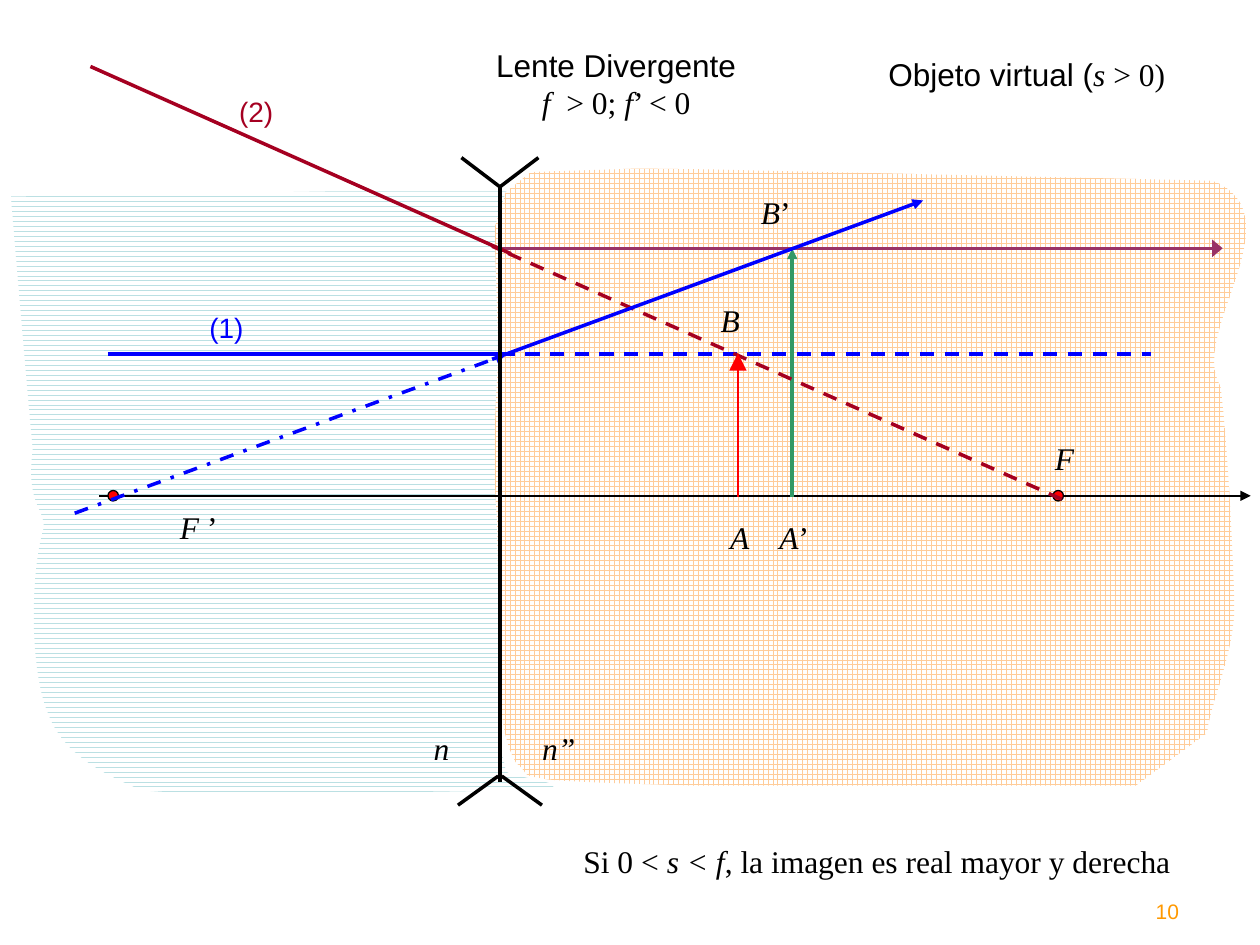
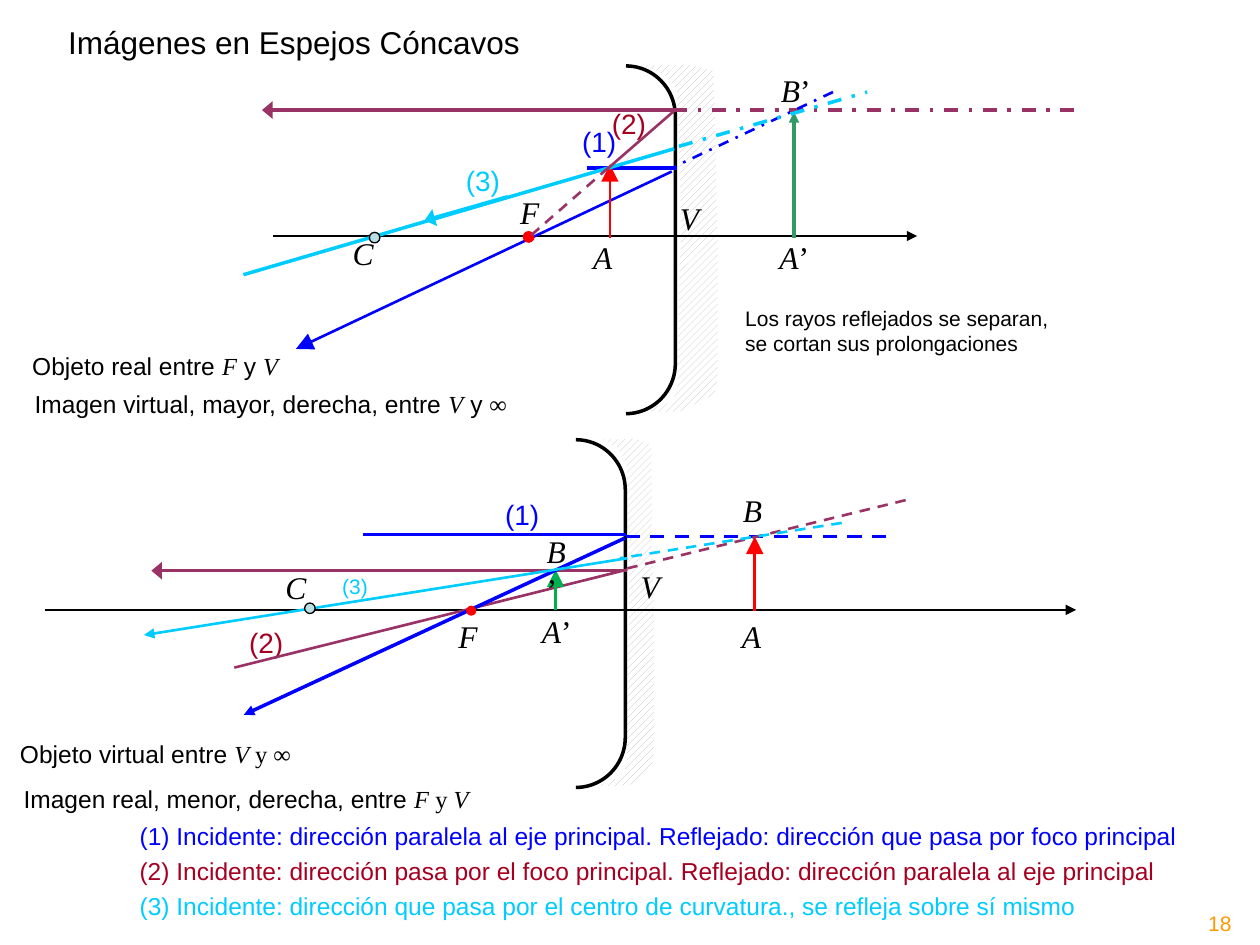
from dataclasses import dataclass

from lxml.etree import SubElement
from pptx import Presentation
from pptx.dml.color import RGBColor
from pptx.enum.dml import MSO_LINE as Dash, MSO_PATTERN as Pattern
from pptx.enum.shapes import MSO_CONNECTOR as Link, MSO_SHAPE as Preset
from pptx.enum.text import MSO_AUTO_SIZE as Fit, PP_ALIGN as Align
from pptx.oxml.ns import qn
from pptx.util import Pt


@dataclass(frozen=True)
class Theme:
    """Colours, fonts and type sizes of the optics slides."""
    ink: str = "000000"
    paper: str = "FFFFFF"
    blue: str = "0000FF"
    crimson: str = "A50021"
    purple: str = "993366"
    cyan: str = "00CCFF"
    red: str = "FF0000"
    image: str = "339966"
    small_image: str = "00B050"
    pale: str = "BBE0E3"
    peach: str = "FFCC99"
    grey: str = "C0C0C0"
    number: str = "FF9900"
    sans: str = "Arial"
    serif: str = "Times New Roman"
    title: int = 18
    ray_tag: int = 16
    body: int = 14
    note: int = 12


@dataclass(frozen=True)
class Box:
    """A region of a slide whose lengths count from its origin in points."""
    slide: object
    left: float = 0
    top: float = 0

    def at(self, x, y):
        """Return the slide position of a point of the region."""
        return Pt(self.left + x), Pt(self.top + y)


THEME = Theme()
SANS, SERIF, ITALIC = (THEME.sans, False), (THEME.serif, False), (THEME.serif, True)
PLAIN, WIDE, LARGE = ("med", "med"), ("lg", "med"), ("lg", "lg")

INCIDENT_MEDIUM = [
    (-279.5, -171), (-92, -174), (21.4, -174), (8.5, -168), (0.5, -151), (-1.6, -28),
    (-1.6, 0), (-1, 24.5), (0.5, 144), (3.5, 157.6), (7, 161, 49, 165.5, 21.5, 167.7),
    (37, 168.5, -123, 170, -160.7, 171.3), (-204.6, 168.4),
    (-221, 161, -248.6, 150.4, -258, 125), (-268.7, 100.8, -268.7, 45.3, -260.8, 18.7),
    (-260, 6.4, -271, 5.7, -267, -26.7), (-270, -57.6, -279.5, -171, -279.5, -171)]
REFRACTED_MEDIUM = [
    (404.5, 135.3), (403, 128, 419, 91.4, 419.6, 66.2),
    (419.6, 41, 415.3, -37.5, 411.7, -62.7), (393, -93, 456.3, -160, 407.4, -180),
    (118.6, -186.5), (79, -187), (17.8, -185), (3.4, -173.6), (-3, -153.4), (-1, -82),
    (-3, -37.5), (-3, -8.7), (-1.6, 15.8), (-1, 60.4), (0.5, 120.2),
    (2, 135.3, 5, 145.4, 9.2, 152.6), (18.6, 160.5, 10, 159, 26.5, 162),
    (43, 164, 89.8, 164.8, 108.6, 165.6), (141, 165.6), (363.4, 165.6)]
MIRROR_BACK = [
    (21.8, -94.3), (8, -97.9), (-20, -97.2), (-7, -92.8), (0.9, -83.5), (3, -12.9),
    (3, 3.6), (2.3, 18), (0.9, 87.2), (-2, 94.4), (-5.6, 96.5, -21.5, 99.4, -20, 100),
    (-35.8, 100.8, -2, 100.8, 3.7, 100), (15.3, 93.6), (18, 90.8, 22.5, 95.8, 24, 81.4),
    (24, 4.4)]


def rgb(colour):
    """Turn a theme colour into a colour value."""
    return RGBColor.from_string(colour)


def bend(area, outline):
    """Join the three steps of every curved part into one cubic curve."""
    steps = iter(list(area.element.iter(qn("a:lnTo"))))
    for part in outline[1:]:
        first, *others = [next(steps) for _ in range(len(part) // 2)]
        if others:
            first.tag = qn("a:cubicBezTo")
        for step in others:
            first.append(step[0])
            step.getparent().remove(step)


def hatch(box, outline, pattern, colour, stretch=1):
    """Draw a hatched area without an edge."""
    start, *rest = [box.at(x * stretch, y) for part in outline
                    for x, y in zip(part[::2], part[1::2])]
    builder = box.slide.shapes.build_freeform(*start)
    builder.add_line_segments(rest, close=True)
    area = builder.convert_to_shape()
    bend(area, outline)
    area.shadow.inherit = False
    area.fill.patterned()
    area.fill.pattern = pattern
    area.fill.fore_color.rgb = rgb(colour)
    area.fill.back_color.rgb = rgb(THEME.paper)
    area.line.fill.background()


def ray(box, colour, start, end, width=2, dash=None, arrow=None):
    """Draw a straight line, with an arrowhead at its end if asked."""
    line = box.slide.shapes.add_connector(Link.STRAIGHT, *box.at(*start), *box.at(*end))
    line.line.color.rgb = rgb(colour)
    line.line.width = Pt(width)
    if dash:
        line.line.dash_style = dash
    properties = line.element.spPr
    if arrow:
        breadth, length = arrow
        SubElement(properties.find(qn("a:ln")), qn("a:tailEnd"),
                   type="triangle", w=breadth, len=length)
    SubElement(properties, qn("a:effectLst"))


def dot(box, x, y, fill, edge=THEME.ink, size=6):
    """Mark a point of the axis."""
    mark = box.slide.shapes.add_shape(
        Preset.OVAL, *box.at(x - size / 2, y - size / 2), Pt(size), Pt(size))
    mark.shadow.inherit = False
    mark.fill.solid()
    mark.fill.fore_color.rgb = rgb(fill)
    mark.line.color.rgb = rgb(edge)
    mark.line.width = Pt(0.75)


def write(box, x, y, width, *lines, size=THEME.title, colour=THEME.ink, wrap=False,
          align=Align.LEFT):
    """Write lines of text, each a list of words with their face."""
    height = len(lines) * size * 1.2 + 7.2
    frame = box.slide.shapes.add_textbox(*box.at(x, y), Pt(width), Pt(height)).text_frame
    frame.word_wrap = wrap
    frame.auto_size = Fit.SHAPE_TO_FIT_TEXT
    for index, line in enumerate(lines):
        paragraph = frame.add_paragraph() if index else frame.paragraphs[0]
        paragraph.alignment = align
        for words, (face, italic) in line:
            run = paragraph.add_run()
            run.text = words
            run.font.name = face
            run.font.italic = italic
            run.font.size = Pt(size)
            run.font.color.rgb = rgb(colour)


def point(box, letter, x, y, width=27, prime="", wrap=False):
    """Name a point with an italic letter and an upright prime."""
    line = [(letter, ITALIC)] + ([(prime, SERIF)] if prime else [])
    write(box, x, y, width, line, wrap=wrap)


def ray_tag(box, number, colour, x, y, size=THEME.ray_tag):
    """Number a ray."""
    write(box, x, y, 1.25 * size + 14.6, [(f"({number})", SANS)], size=size,
          colour=colour)


def page_number(box, number):
    """Write the slide number."""
    write(box, 0, 0, 28, [(number, SANS)], size=THEME.note, colour=THEME.number)


def diverging_lens(box):
    """Draw the lens, its two media and the rays around the optical centre."""
    hatch(box, INCIDENT_MEDIUM, Pattern.WAVE, THEME.pale)
    hatch(box, REFRACTED_MEDIUM, Pattern.LARGE_GRID, THEME.peach)
    ray(box, THEME.ink, (-229, 0), (429, 0), 1.25, arrow=PLAIN)
    for focus in (-221, 319):
        dot(box, focus, 0, THEME.red)
    ray(box, THEME.blue, (-224, -81), (2.7, -81))
    ray(box, THEME.purple, (-1, -141.4), (413, -141.4), arrow=WIDE)
    ray(box, THEME.image, (167, 0.7), (167, -141.2), arrow=PLAIN)
    point(box, "F ", -190, 3.6, 40, "’")
    point(box, "F", 310, -36)
    point(box, "n", -45, 129.6, 24)
    point(box, "n”", 17, 129.6, 34)
    point(box, "A", 124.4, 9.3, 25)
    point(box, "A", 152.5, 9.3, 32, "’")
    point(box, "B", 119, -114.7, 29.5)
    point(box, "B", 142, -176.6, 32, "’")
    ray_tag(box, 1, THEME.blue, -173.2, -109.5)
    ray_tag(box, 2, THEME.crimson, -156.2, -232.9)
    ray(box, THEME.blue, (0.5, -81), (372, -81), dash=Dash.DASH)
    ray(box, THEME.blue, (-243, 10), (3.4, -80.7), dash=Dash.DASH_DOT, arrow=PLAIN)
    ray(box, THEME.crimson, (321, 2), (-4.5, -142.6), dash=Dash.DASH)
    ray(box, THEME.blue, (-4.5, -78), (241.8, -168.7), arrow=PLAIN)
    ray(box, THEME.crimson, (6.3, -138.3), (-234, -245.3))
    ray(box, THEME.red, (136, 0.7), (136, -81.4), 1.5, arrow=LARGE)
    ray(box, THEME.ink, (0, 163.4), (0, -176.4))
    for side in (-1, 1):
        ray(box, THEME.ink, (0, -176.5), (22 * side, -193.2))
        ray(box, THEME.ink, (side, 160.2), (24 * side, 176.8))


def mirror(box, axis_start, axis_end, back_width):
    """Draw a concave mirror with its hatched back and its axis."""
    hatch(box, MIRROR_BACK, Pattern.WIDE_UPWARD_DIAGONAL, THEME.grey, back_width)
    ray(box, THEME.ink, (axis_start, 0), (axis_end, 0), 1.25, arrow=PLAIN)
    face = box.slide.shapes.add_shape(
        Preset.RIGHT_BRACKET, *box.at(-28.4, -97.2), Pt(28.2), Pt(198.7))
    face.adjustments[0] = 1.016
    face.shadow.inherit = False
    face.fill.background()
    face.line.color.rgb = rgb(THEME.ink)
    face.line.width = Pt(2)


def real_object_mirror(box):
    """Draw the mirror whose object stands between focus and vertex."""
    mirror(box, -230, 138, 1)
    ray(box, THEME.blue, (-2.2, -36.9), (-217, 64.5), 1.5, arrow=LARGE)
    ray(box, THEME.blue, (-50.5, -39), (0.5, -39))
    ray(box, THEME.purple, (-1.6, -72), (-236.4, -72), arrow=WIDE)
    ray(box, THEME.red, (-37.6, 1.2), (-37.6, -41), 1.5, arrow=LARGE)
    ray(box, THEME.cyan, (-247, 22.1), (-0.8, -49.9))
    ray(box, THEME.cyan, (-96, -22.5), (-143.5, -8.9), arrow=WIDE)
    ray_tag(box, 1, THEME.blue, -60.6, -67.2)
    ray_tag(box, 2, THEME.crimson, -43.5, -77.3)
    ray_tag(box, 3, THEME.cyan, -127, -44.9)
    point(box, "C", -191.7, -4.6)
    dot(box, -172, 0.9, THEME.pale)
    ray(box, THEME.image, (67.6, 1.2), (67.6, -70.8), arrow=PLAIN)
    point(box, "A", 52.2, -2.3, 32, "’")
    point(box, "B", 53, -97.8, 32, "’")
    point(box, "F", -96, -28.3)
    dot(box, -84, 0.5, THEME.red, THEME.red)
    point(box, "V", -4.7, -24.7)
    ray(box, THEME.purple, (-1.6, -72), (232, -72), dash=Dash.DASH_DOT)
    ray(box, THEME.blue, (89.9, -82.3), (-0.2, -39.9), 1.5, Dash.DASH_DOT)
    ray(box, THEME.cyan, (1.9, -51.3), (109.4, -82.3), dash=Dash.DASH_DOT)
    ray(box, THEME.purple, (-38.4, -39.1), (-83.7, 0.5), 1.5, Dash.DASH)
    ray(box, THEME.purple, (-0.9, -71.5), (-39.1, -38.3), 1.5)
    point(box, "A", -54.2, -2.3)


def virtual_object_mirror(box):
    """Draw the mirror whose object lies behind the vertex."""
    mirror(box, -332, 257.4, 0.67)
    ray(box, THEME.blue, (-150, -43), (0, -43))
    ray(box, THEME.purple, (1, -22.4), (-271, -22.4), arrow=WIDE)
    point(box, "B", 60, -71.3, 16, wrap=True)
    ray_tag(box, 1, THEME.blue, -76, -67.7)
    ray_tag(box, 2, THEME.crimson, -222.3, 5.2)
    ray(box, THEME.purple, (1, -23), (-223.6, 33), 1.5)
    point(box, "A", -55, -2.2, 32, "’")
    point(box, "F", -102.6, 0.7)
    point(box, "V", 1.5, -28)
    ray(box, THEME.small_image, (-40, 0), (-40, -23), arrow=LARGE)
    ray(box, THEME.blue, (-0.4, -41), (-218.2, 60), arrow=PLAIN)
    dot(box, -88.2, 0.5, THEME.red, THEME.red, 5)
    ray(box, THEME.red, (73.8, 0.7), (73.8, -41.8), 1.5, arrow=LARGE)
    ray_tag(box, 3, THEME.cyan, -169, -24.5, THEME.note)
    point(box, "B", -52.2, -48, 28.8, "’")
    ray(box, THEME.cyan, (1, -29.5), (-275.2, 14.4), 1.5, arrow=PLAIN)
    point(box, "C", -201.5, -27.4, 31)
    dot(box, -180.4, -0.9, THEME.pale)
    ray(box, THEME.blue, (0, -41.8), (150, -41.8), dash=Dash.DASH)
    ray(box, THEME.purple, (160, -62.7), (-1.8, -23), 1.5, Dash.DASH)
    ray(box, THEME.cyan, (123.5, -49.7), (-3.3, -29.5), 1.5, Dash.DASH)
    point(box, "A", 59.4, 0.7)


def ray_rules(box):
    """List the rule that each numbered ray follows."""
    rules = [
        ("(1) Incidente: dirección paralela al eje principal. "
         "Reflejado: dirección que pasa por foco principal", THEME.blue, 610),
        ("(2) Incidente: dirección pasa por el foco principal. "
         "Reflejado: dirección paralela al eje principal", THEME.crimson, 598),
        ("(3) Incidente: dirección que pasa por el centro de curvatura., "
         "se refleja sobre sí mismo", THEME.cyan, 552)]
    for row, (rule, colour, width) in enumerate(rules):
        write(box, 0, row * 20, width, [(rule, SANS)], size=THEME.body, colour=colour)


def lens_slide(slide):
    """Build the slide on the diverging lens."""
    page = Box(slide)
    diverging_lens(Box(slide, 285.7, 283.3))
    write(page, 500.6, 28, 174,
          [("Objeto virtual (", SANS), ("s ", ITALIC), ("> 0)", SERIF)])
    write(page, 275.6, 22.6, 153, [("Lente Divergente", SANS)],
          [("f", ITALIC), ("  > 0; ", SERIF), ("f", ITALIC), ("’ < 0", SERIF)],
          align=Align.CENTER)
    write(page, 326.3, 477.7, 382, [("Si 0 < ", SERIF), ("s < f", ITALIC),
          (", la imagen es real mayor y derecha", SERIF)], wrap=True)
    page_number(Box(slide, 653.3, 510), "10")


def mirror_slide(slide):
    """Build the slide on concave mirrors."""
    page = Box(slide)
    real_object_mirror(Box(slide, 386.1, 134.9))
    virtual_object_mirror(Box(slide, 357.5, 348.5))
    write(page, 31.8, 9.4, 275, [("Imágenes en Espejos Cóncavos", SANS)])
    captions = [
        (11.3, 197, 157, [("Objeto real entre ", SANS), ("F", ITALIC), (" y ", SANS),
                          ("V", ITALIC)]),
        (12.7, 219, 286, [("Imagen virtual, mayor, derecha, entre ", SANS), ("V", ITALIC),
                          (" y ", SANS), ("∞", SERIF)]),
        (4.3, 418.7, 170, [("Objeto virtual entre ", SANS), ("V ", ITALIC),
                           ("y ∞", SERIF)]),
        (6.4, 444.2, 270, [("Imagen real, menor, derecha, entre ", SANS), ("F ", ITALIC),
                           ("y", SERIF), (" V", ITALIC)])]
    for x, y, width, caption in captions:
        write(page, x, y, width, caption, size=THEME.body)
    write(page, 418.8, 171, 189, [("Los rayos reflejados se separan,", SANS)],
          [("se cortan sus prolongaciones", SANS)], size=THEME.note)
    ray_rules(Box(slide, 72.7, 465.7))
    page_number(Box(slide, 683.3, 517), "18")


def main():
    """Build and save the presentation."""
    deck = Presentation()
    deck.slide_width, deck.slide_height = Pt(720), Pt(540)
    for build in (lens_slide, mirror_slide):
        build(deck.slides.add_slide(deck.slide_layouts[6]))
    deck.save("out.pptx")


if __name__ == "__main__":
    main()
